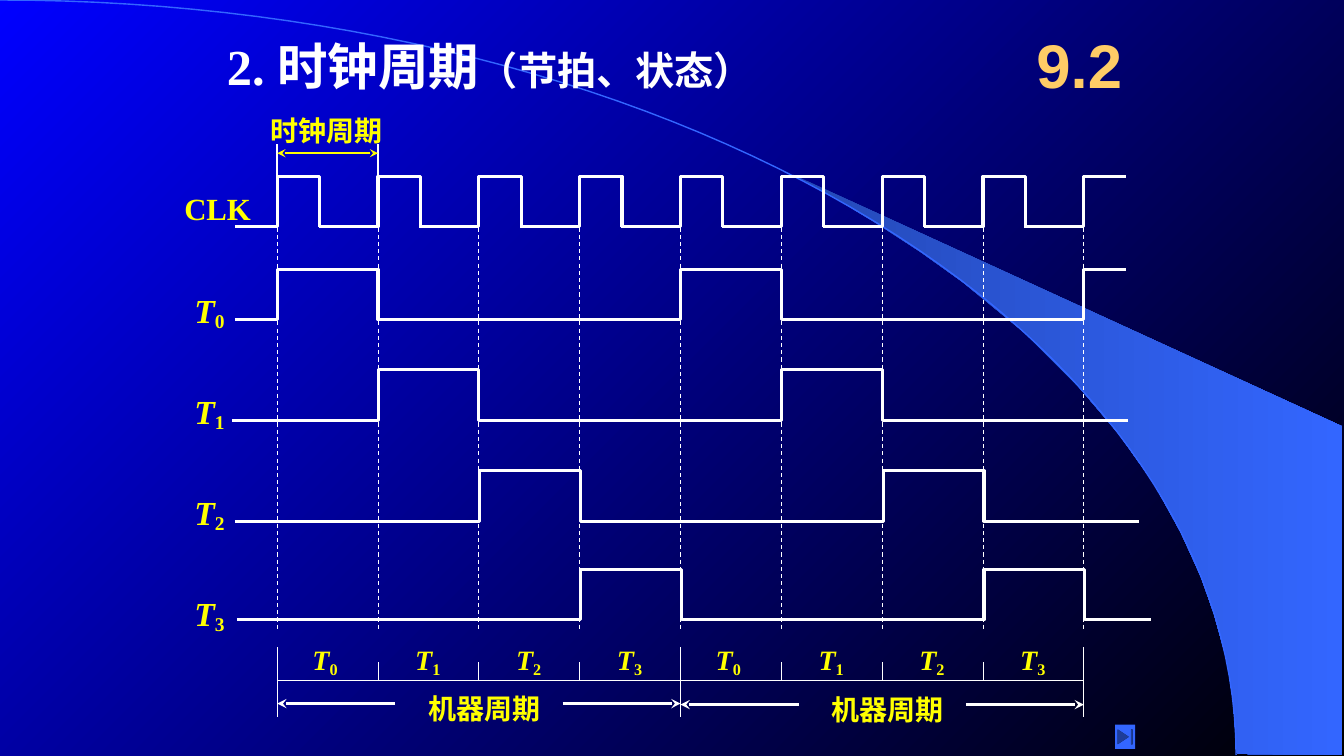
from dataclasses import dataclass
from math import cos, pi, sin

from lxml import etree
from pptx import Presentation
from pptx.dml.color import RGBColor
from pptx.enum.dml import MSO_LINE
from pptx.enum.shapes import MSO_CONNECTOR, MSO_SHAPE
from pptx.enum.text import MSO_ANCHOR, MSO_AUTO_SIZE, PP_ALIGN
from pptx.oxml.ns import qn
from pptx.util import Inches, Pt

DASH = MSO_LINE.DASH
STRAIGHT = MSO_CONNECTOR.STRAIGHT
END_BUTTON = MSO_SHAPE.ACTION_BUTTON_END
TOP, MIDDLE = MSO_ANCHOR.TOP, MSO_ANCHOR.MIDDLE
FIT_SHAPE, NO_FIT = MSO_AUTO_SIZE.SHAPE_TO_FIT_TEXT, MSO_AUTO_SIZE.NONE
LEFT, CENTER = PP_ALIGN.LEFT, PP_ALIGN.CENTER


@dataclass(frozen=True)
class Theme:
    white: str = "FFFFFF"
    yellow: str = "FFFF00"
    orange: str = "FFCC66"
    sky: str = "3366FF"
    flare: str = "2449B6"
    blue: str = "0000FF"
    black: str = "000000"
    serif: str = "Times New Roman"
    sans: str = "Arial"
    section: int = 44
    title: int = 36
    subtitle: int = 28
    row: int = 24
    clock: int = 22
    label: int = 20
    thin: float = 0.75
    curve: float = 1
    medium: float = 1.5
    thick: float = 2.25


class TimingSlide:
    def __init__(self, slide, theme):
        self.slide, self.theme = slide, theme

    def gradient(self, fill, colours, angle):
        fill.gradient()
        fill.gradient_angle = angle
        for stop, colour in zip(fill.gradient_stops, colours):
            stop.color.rgb = RGBColor.from_string(colour)

    def stroke(self, line, colour, width):
        line.color.rgb = RGBColor.from_string(colour)
        line.width = Pt(width)

    def outline(self, points, closed=False):
        """Draw a bare freeform through points given in inches."""
        corners = [(Inches(x), Inches(y)) for x, y in points]
        builder = self.slide.shapes.build_freeform(*corners[0])
        builder.add_line_segments(corners[1:], close=closed)
        shape = builder.convert_to_shape()
        shape.shadow.inherit = False
        return shape

    def trace(self, points, colour, width):
        shape = self.outline(points)
        shape.fill.background()
        self.stroke(shape.line, colour, width)

    def line(self, start, end, width, colour=None, dash=None, arrows=()):
        """Draw a line; arrows names its ends, headEnd before tailEnd."""
        connector = self.slide.shapes.add_connector(
            STRAIGHT, *(Inches(value) for value in (*start, *end)))
        self.stroke(connector.line, colour or self.theme.white, width)
        if dash:
            connector.line.dash_style = dash
        outline = connector.line._get_or_add_ln()
        for arrow in arrows:
            etree.SubElement(outline, qn(f"a:{arrow}"), type="stealth")
        etree.SubElement(outline.getparent(), qn("a:effectLst"))

    def format_run(self, run, size, colour, font=None):
        run.font.name = font or self.theme.serif
        run.font.size = Pt(size)
        run.font.bold = True
        run.font.color.rgb = RGBColor.from_string(colour)

    def label(self, box, text, size, subscript=""):
        text_box = self.slide.shapes.add_textbox(*map(Inches, box))
        frame = text_box.text_frame
        frame.word_wrap, frame.auto_size = False, FIT_SHAPE
        paragraph = frame.paragraphs[0]
        paragraph.text = text
        if subscript:
            paragraph.runs[0].font.italic = True
            index = paragraph.add_run()
            index.text = subscript
            index.font._element.set("baseline", "-15000")
        for run in paragraph.runs:
            self.format_run(run, size, self.theme.yellow)

    def title(self, box, heading, detail):
        title = self.slide.shapes.title
        title.left, title.top, title.width, title.height = map(Inches, box)
        title.element.getparent().append(title.element)
        frame = title.text_frame
        frame.word_wrap, frame.auto_size = True, NO_FIT
        frame.vertical_anchor = TOP
        paragraph = frame.paragraphs[0]
        paragraph.text = heading
        paragraph.alignment = LEFT
        paragraph.add_run().text = detail
        for run, size in zip(paragraph.runs, (self.theme.title, self.theme.subtitle)):
            self.format_run(run, size, self.theme.white)

    def section_number(self, box, text):
        frame = self.slide.shapes.add_textbox(*map(Inches, box)).text_frame
        frame.word_wrap, frame.auto_size = True, NO_FIT
        frame.vertical_anchor = MIDDLE
        paragraph = frame.paragraphs[0]
        paragraph.text = text
        paragraph.alignment = CENTER
        self.format_run(paragraph.runs[0], self.theme.section,
                        self.theme.orange, self.theme.sans)

    def end_button(self, box):
        button = self.slide.shapes.add_shape(END_BUTTON, *map(Inches, box))
        button.shadow.inherit = False
        button.fill.solid()
        button.fill.fore_color.rgb = RGBColor.from_string(self.theme.sky)
        button.line.fill.background()


ORIGIN = 2.75
BEATS = 8
PHASES = 4
PULSE = 0.5
FLARE = [(12.27, 7.48), (13.31, 7.49), (13.31, 4.23), (7.86, 1.73), (8.32, 1.99),
         (8.7, 2.22), (9.13, 2.5), (9.55, 2.8), (10.16, 3.3), (10.7, 3.84),
         (11.1, 4.31), (11.44, 4.79), (11.71, 5.28), (11.91, 5.72), (12.04, 6.09),
         (12.17, 6.56), (12.23, 6.96)]
# Left end, right end, high level and pulse shift of each phase signal
SIGNALS = [(2.33, 11.17, 2.67, 0), (2.3, 11.19, 3.67, 0),
           (2.33, 11.3, 4.67, 0.01), (2.35, 11.42, 5.65, 0.01)]


def phase_wave(phase, start, end, high, shift):
    low = high + PULSE
    points = [(start, low)]
    for beat in range(phase, BEATS + 1, PHASES):
        rise = ORIGIN + beat + shift
        points += [(rise, low), (rise, high)]
        if rise + 1 > end:
            return points + [(end, high)]
        points += [(rise + 1, high), (rise + 1, low)]
    return points + [(end, low)]


def clock_wave(beat, high=1.75):
    low, rise = high + PULSE, ORIGIN + beat
    start = rise - (0.59 if beat else 0.42)
    points = [(start, low), (rise, low), (rise, high), (rise + 0.42, high)]
    return points + [(rise + 0.42, low)] if beat < BEATS else points


def draw_backdrop(page):
    theme = page.theme
    page.gradient(page.slide.background.fill, (theme.blue, theme.black), 315)
    flare = page.outline(FLARE, closed=True)
    page.gradient(flare.fill, (theme.flare, theme.sky), 0)
    flare.line.fill.background()
    angles = [step * pi / 120 for step in range(61)]
    page.trace([(12.26 * sin(a), 7.49 * (1 - cos(a))) for a in angles],
               theme.sky, theme.curve)


def draw_signals(page):
    theme = page.theme
    for phase, signal in enumerate(SIGNALS):
        page.trace(phase_wave(phase, *signal), theme.white, theme.thick)
        page.label((1.83, 2.83 + phase, 0.52, 0.5), "T", theme.row, str(phase))
    page.label((1.73, 1.83, 0.86, 0.47), "CLK", theme.clock)
    for beat in range(BEATS + 1):
        x = ORIGIN + beat
        page.trace(clock_wave(beat), theme.white, theme.thick)
        page.line((x, 1.97), (x, 6.25), theme.thin, dash=DASH)


def draw_periods(page):
    theme = page.theme
    for x in (ORIGIN, ORIGIN + 1):
        page.line((x, 1.43), (x, 1.77), theme.medium)
    page.line((ORIGIN, 1.52), (ORIGIN + 1, 1.52), theme.medium, theme.yellow,
              arrows=("headEnd", "tailEnd"))
    page.label((2.58, 1.08, 1.32, 0.43), "时钟周期", theme.label)

    page.line((ORIGIN, 6.75), (ORIGIN + BEATS, 6.75), theme.thin)
    for beat in range(BEATS + 1):
        x, phase = ORIGIN + beat, beat % PHASES
        top, bottom = (6.57, 6.75) if phase else (6.42, 7.11)
        page.line((x, top), (x, bottom), theme.thin)
        if beat < BEATS:
            left = x + (0.27 if phase else 0.25)
            page.label((left, 6.33, 0.47, 0.44), "T", theme.label, str(phase))
    for cycle in range(BEATS // PHASES):
        start, y = ORIGIN + cycle * PHASES, 6.98 + cycle * 0.01
        end = start + PHASES
        for inner, tip in ((end - 1.17, end), (start + 1.17, start)):
            page.line((inner, y), (tip, y), theme.thick, arrows=("tailEnd",))
        page.label((start + 1.4, y - 0.17, 1.32, 0.43), "机器周期", theme.label)


def main():
    deck = Presentation()
    deck.slide_width, deck.slide_height = Inches(13.33), Inches(7.5)
    page = TimingSlide(deck.slides.add_slide(deck.slide_layouts[5]), Theme())
    draw_backdrop(page)
    draw_signals(page)
    draw_periods(page)
    page.title((2.15, 0.3, 5.9, 0.7), "2. 时钟周期", "（节拍、状态）")
    page.section_number((10.08, 0.17, 1.25, 0.92), "9.2")
    page.end_button((11.06, 7.19, 0.2, 0.24))
    deck.save("out.pptx")


if __name__ == "__main__":
    main()
